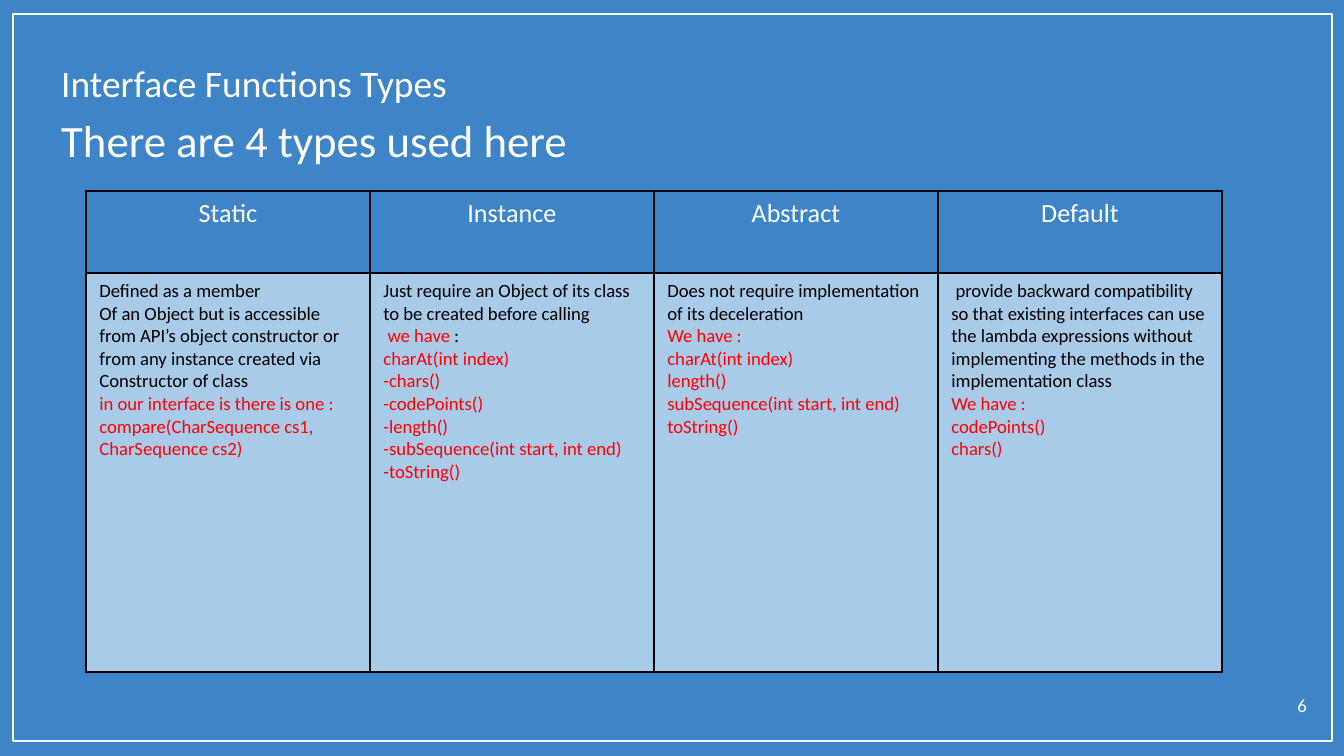
import pptx
import pptx.util
import pptx.dml.color
import pptx.enum.shapes
import pptx.enum.text
import pptx.oxml
import pptx.oxml.ns

SCALE = 914400 / 134.4
ALIGN = pptx.enum.text.PP_ALIGN
WHITE, BLACK, RED = "FFFFFF", "000000", "FF0000"


def paint(target, color):
    """Give a fill a solid colour from a hex string."""
    target.solid()
    target.fore_color.rgb = pptx.dml.color.RGBColor.from_string(color)


def write(tf, paragraphs, size=10, align=ALIGN.LEFT):
    """Fill a text frame with paragraphs, each a list of (text, colour) runs."""
    tf.word_wrap = True
    for i, runs in enumerate(paragraphs):
        p = tf.paragraphs[0] if i == 0 else tf.add_paragraph()
        p.alignment = align
        for text, color in runs:
            r = p.add_run()
            r.text = text
            r.font.name = "Calibri"
            r.font.size = pptx.util.Pt(size)
            paint(r.font.fill, color)


prs = pptx.Presentation()
prs.slide_width = round(1344 * SCALE)
prs.slide_height = round(756 * SCALE)
s = prs.slides.add_slide(prs.slide_layouts[6])
paint(s.background.fill, "3D85C6")

frame = s.shapes.add_shape(pptx.enum.shapes.MSO_SHAPE.RECTANGLE,
                           *[round(v * SCALE) for v in (13, 14, 1319, 727)])
frame.shadow.inherit = False
frame.fill.background()
paint(frame.line.fill, WHITE)
frame.line.width = pptx.util.Pt(0.75)

# Heading, subheading and page number
labels = [
    ("Interface Functions Types", (48, 47, 1210, 60), 20, ALIGN.LEFT),
    ("There are 4 types used here", (48, 99, 1121, 80), 24, ALIGN.LEFT),
    ("6", (1253, 683, 67, 43), 10, ALIGN.RIGHT),
]
for text, box, size, align in labels:
    tf = s.shapes.add_textbox(*[round(v * SCALE) for v in box]).text_frame
    tf.margin_left = tf.margin_right = pptx.util.Inches(0.1)
    tf.margin_top = tf.margin_bottom = pptx.util.Inches(0.1)
    write(tf, [[(text, WHITE)]], size=size, align=align)

# Each function type: name, description lines, then its methods
function_types = [
    ("Static",
     ["Defined as a member ",
      "Of an Object but is accessible from API’s object constructor or "
      "from any instance created via Constructor of class"],
     [[("in our interface is there is one :", RED)]],
     ["compare(CharSequence cs1, CharSequence cs2)"]),
    ("Instance",
     ["Just require an Object of its class to be created before calling"],
     [[(" we have ", RED), (": ", BLACK)]],
     ["charAt(int index)", "-chars()", "-codePoints()", "-length()",
      "-subSequence(int start, int end)", "-toString()"]),
    ("Abstract",
     ["Does not require implementation of its deceleration "],
     [[("We have :", RED)]],
     ["charAt(int index)", "length()", "subSequence(int start, int end)",
      "toString()"]),
    ("Default",
     [" provide backward compatibility so that existing interfaces can use "
      "the lambda expressions without implementing the methods in the "
      "implementation class"],
     [[("We have :", RED)]],
     ["codePoints()", "chars()"]),
]
table = s.shapes.add_table(
    2, len(function_types),
    *[round(v * SCALE) for v in (86, 191, 1136, 481)]).table
table.first_row = table.horz_banding = False
for row, height in zip(table.rows, (82, 399)):
    row.height = round(height * SCALE)

for col, (name, description, intro, methods) in enumerate(function_types):
    table.columns[col].width = round(284 * SCALE)
    header, body = table.cell(0, col), table.cell(1, col)
    write(header.text_frame, [[(name, WHITE)]], size=14, align=ALIGN.CENTER)
    write(body.text_frame, [[(line, BLACK)] for line in description] + intro
          + [[(method, RED)] for method in methods])
    header.fill.background()
    paint(body.fill, "A9CBEA")

# Cell borders come before the fill in the cell properties
for cell in table.iter_cells():
    props = cell._tc.get_or_add_tcPr()
    for i, side in enumerate(("lnL", "lnR", "lnT", "lnB")):
        props.insert(i, pptx.oxml.parse_xml(
            f'<a:{side} {pptx.oxml.ns.nsdecls("a")} w="9525"><a:solidFill>'
            f'<a:srgbClr val="{BLACK}"/></a:solidFill></a:{side}>'))

prs.save("out.pptx")
